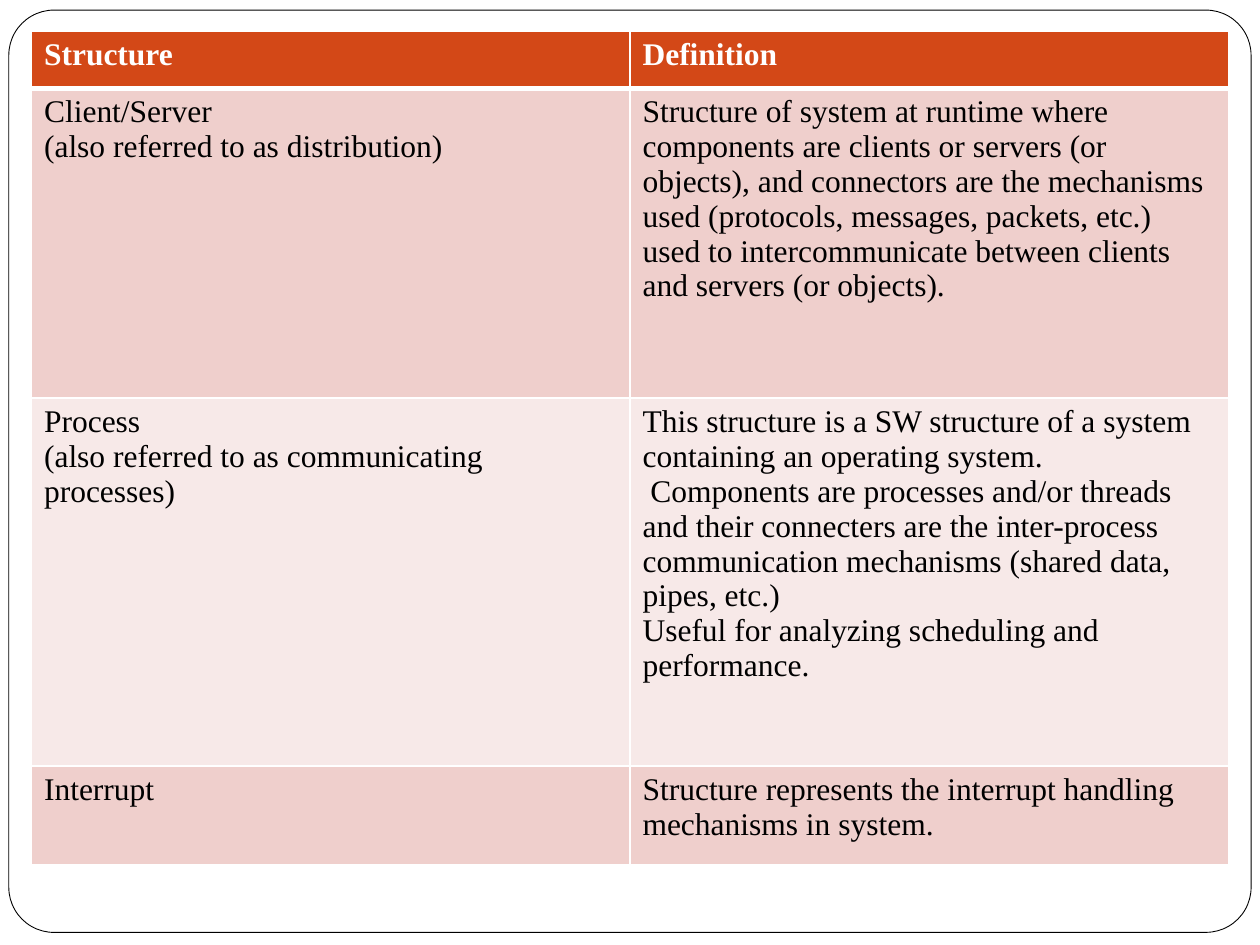
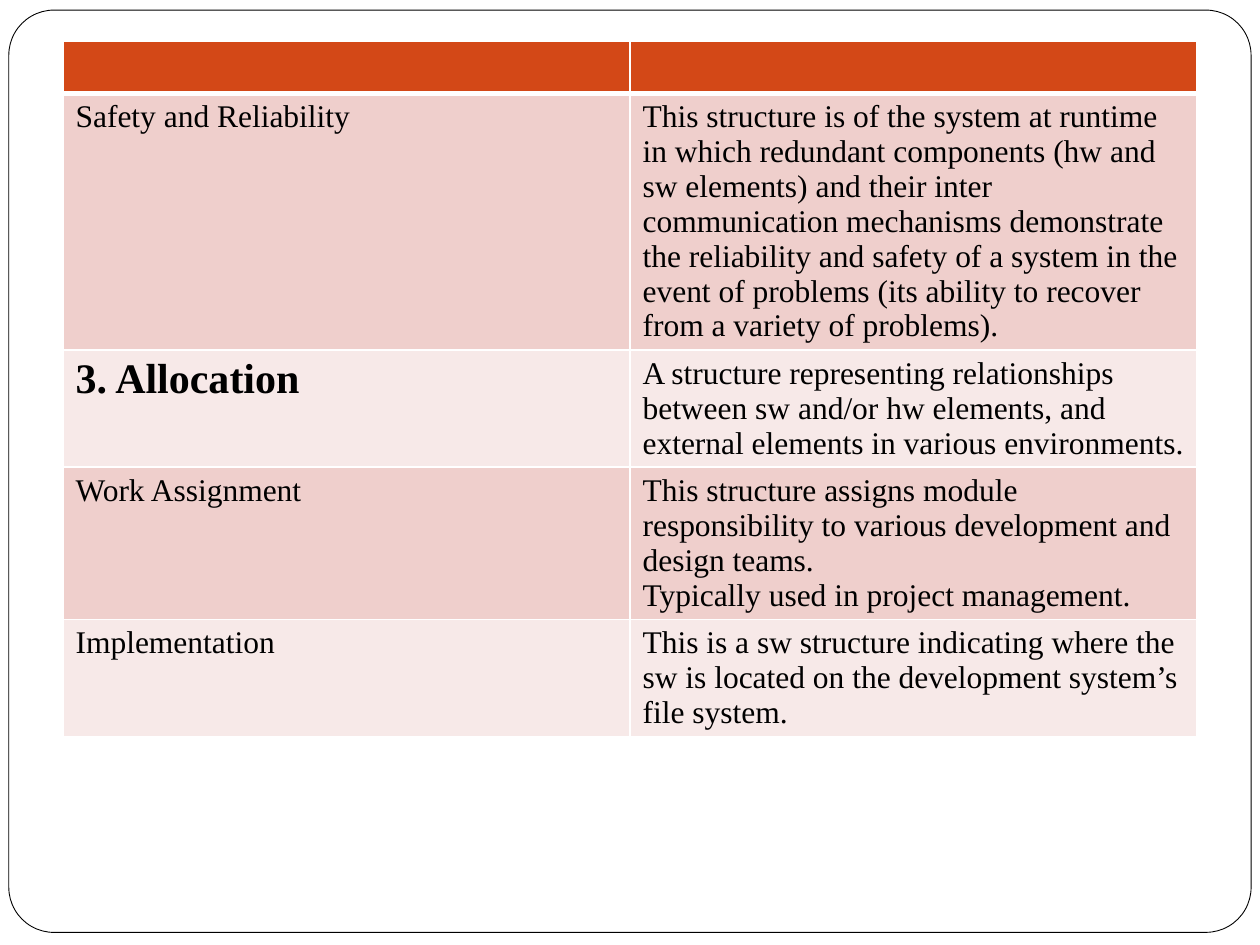
from pptx import Presentation
from pptx.dml.color import RGBColor
from pptx.enum import shapes
from pptx.oxml import parse_xml
from pptx.oxml.ns import nsdecls
from pptx.util import Inches, Pt

FONT = "Times New Roman"
HUES = {"paper": "FFFFFF", "ink": "000000", "head": "D34817",
        "odd": "EFCFCC", "even": "F7E9E8"}

# Cells hold one string per paragraph
RUNTIME = [
    (["Structure"], ["Definition"]),
    (["Client/Server", "(also referred to as distribution)"],
     ["Structure of system at runtime where components are clients or servers "
      "(or objects), and connectors are the mechanisms used (protocols, "
      "messages, packets, etc.) used to intercommunicate between clients and "
      "servers (or objects)."]),
    (["Process", "(also referred to as communicating processes)"],
     ["This structure is a SW structure of a system containing an operating "
      "system.",
      " Components are processes and/or threads and their connecters are the "
      "inter-process communication mechanisms (shared data, pipes, etc.)",
      "Useful for analyzing scheduling and performance."]),
    (["Interrupt"],
     ["Structure represents the interrupt handling mechanisms in system."]),
]
SECTION = "3. Allocation"
ALLOCATION = [
    ([], []),
    (["Safety and Reliability"],
     ["This structure is of the system at runtime in which redundant "
      "components (hw and",
      "sw elements) and their inter communication mechanisms demonstrate the "
      "reliability and safety of a system in the event of problems (its "
      "ability to recover from a variety of problems)."]),
    ([SECTION],
     ["A structure representing relationships between sw and/or hw elements, "
      "and external elements in various environments."]),
    (["Work Assignment"],
     ["This structure assigns module responsibility to various development "
      "and design teams.",
      "Typically used in project management."]),
    (["Implementation"],
     ["This is a sw structure indicating where the sw is located on the "
      "development system’s",
      "file system."]),
]


def color(name):
    return RGBColor.from_string(HUES[name])


def write(frame, lines, size=18, hue="ink", bold=False):
    for i, line in enumerate(lines):
        para = frame.paragraphs[0] if i == 0 else frame.add_paragraph()
        run = para.add_run()
        run.text = line
        run.font.name = FONT
        run.font.size = Pt(size)
        run.font.bold = bold
        run.font.color.rgb = color(hue)


def add_border(cell, base=1):
    """White lines on all four sides; base is the bottom width in points."""
    props = cell._tc.get_or_add_tcPr()
    for side in "LRTB":
        width = Pt(base if side == "B" else 1)
        props.append(parse_xml(
            f'<a:ln{side} {nsdecls("a")} w="{width}"><a:solidFill>'
            f'<a:srgbClr val="{HUES["paper"]}"/></a:solidFill></a:ln{side}>'))


def add_frame(slide):
    box = slide.shapes.add_shape(
        shapes.MSO_SHAPE.ROUNDED_RECTANGLE,
        Inches(0.07), Inches(0.08), Inches(9.86), Inches(7.32))
    box.adjustments[0] = 0.049
    box.shadow.inherit = False
    box.fill.solid()
    box.fill.fore_color.rgb = color("paper")
    box.line.color.rgb = color("ink")
    box.line.width = Pt(0.5)


def add_grid(slide, rows, left, top, width, height, tall):
    grid = slide.shapes.add_table(
        len(rows), 2, Inches(left), Inches(top), Inches(width), Inches(height))
    for col in grid.table.columns:
        col.width = Inches(width / 2)
    for r, row in enumerate(rows):
        grid.table.rows[r].height = Inches(tall[r])
        head = r == 0
        band = "head" if head else "odd" if r % 2 else "even"
        for c, lines in enumerate(row):
            cell = grid.table.cell(r, c)
            title = lines == [SECTION]
            add_border(cell, base=3 if head else 1)
            cell.fill.solid()
            cell.fill.fore_color.rgb = color(band)
            write(cell.text_frame, lines, size=24 if title else 18,
                  hue="paper" if head else "ink", bold=head or title)
    grid.height = Inches(height)


def add_page(deck, rows, **place):
    slide = deck.slides.add_slide(deck.slide_layouts[6])
    add_frame(slide)
    add_grid(slide, rows, **place)


def main():
    deck = Presentation()
    deck.slide_width, deck.slide_height = Inches(10), Inches(7.5)
    # Runtime structures
    add_page(deck, RUNTIME, left=0.25, top=0.25, width=9.5, height=6.62,
             tall=[0.45, 2.46, 2.92, 0.78])
    # Allocation structures: rows grow with their text
    add_page(deck, ALLOCATION, left=0.5, top=0.33, width=9, height=5.91,
             tall=[0.41] * len(ALLOCATION))
    deck.save("out.pptx")


if __name__ == "__main__":
    main()
